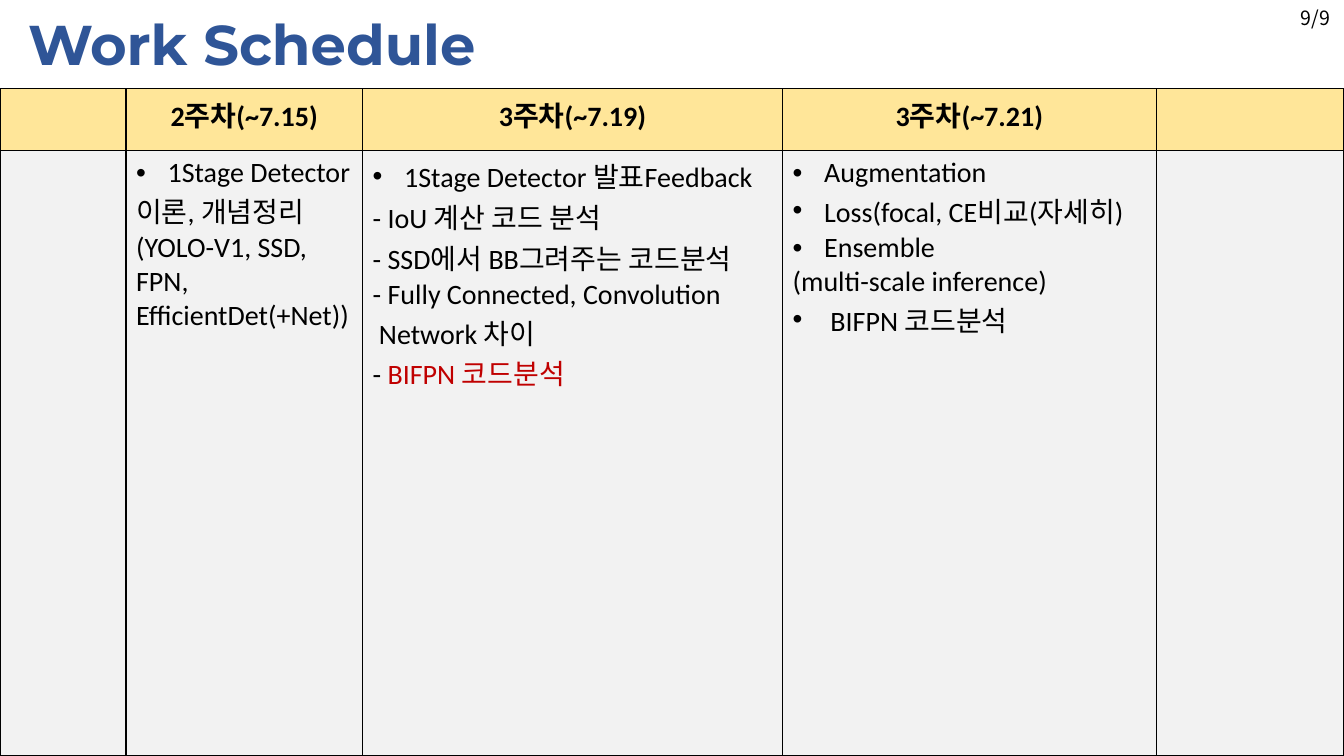
from lxml.etree import SubElement
from pptx import Presentation
from pptx.dml.color import RGBColor
from pptx.enum.text import MSO_ANCHOR, PP_ALIGN
from pptx.oxml import parse_xml
from pptx.oxml.ns import nsdecls, qn
from pptx.util import Pt

COLORS = {
    "title": "2F5597",
    "text": "000000",
    "alert": "C00000",
    "border": "000000",
    "header": "FFE699",
    "body": "F2F2F2",
}
HEADERS = ["", "2주차(~7.15)", "3주차(~7.19)", "3주차(~7.21)", ""]
COLUMN_WIDTHS = [90, 169, 300, 267, 134]
ROW_HEIGHTS = [44, 432]

# Each line is (bullet indent, [(text, colour), ...]); indent 0 means no bullet.
TASKS = [
    [],
    [
        (22.5, [("1Stage Detector", "text")]),
        (0, [("이론, 개념정리", "text")]),
        (0, [("(YOLO-V1, SSD,", "text")]),
        (0, [("FPN,", "text")]),
        (0, [("EfficientDet(+Net))", "text")]),
    ],
    [
        (22.5, [("1Stage Detector 발표Feedback", "text")]),
        (0, [("- IoU 계산 코드 분석", "text")]),
        (0, [("- SSD에서 BB그려주는 코드분석", "text")]),
        (0, [("- Fully Connected, Convolution", "text")]),
        (0, [(" Network 차이", "text")]),
        (0, [("- ", "text"), ("BIFPN 코드분석", "alert")]),
    ],
    [
        (22.5, [("Augmentation", "text")]),
        (22.5, [("Loss(focal, CE비교(자세히)", "text")]),
        (22.5, [("Ensemble", "text")]),
        (0, [("(multi-scale inference)", "text")]),
        (27, [("BIFPN 코드분석", "text")]),
    ],
    [],
]


class Deck:
    def __init__(self):
        self.prs = Presentation()
        self.prs.slide_width, self.prs.slide_height = Pt(960), Pt(540)
        self.s = self.prs.slides.add_slide(self.prs.slide_layouts[6])

    def run(self, p, text, size=20, font="Calibri", color="text", bold=False):
        r = p.add_run()
        r.text = text
        r.font.size, r.font.name, r.font.bold = Pt(size), font, bold
        r.font.color.rgb = RGBColor.from_string(COLORS[color])

    def bullet(self, p, indent):
        pPr = p._p.get_or_add_pPr()
        pPr.set("marL", str(Pt(indent)))
        pPr.set("indent", str(-Pt(indent)))
        SubElement(pPr, qn("a:buFont")).set("typeface", "Arial")
        SubElement(pPr, qn("a:buChar")).set("char", "•")

    def text(self, x, y, w, h, text, align=PP_ALIGN.LEFT,
             anchor=MSO_ANCHOR.TOP, spacing=1.0, **style):
        tf = self.s.shapes.add_textbox(Pt(x), Pt(y), Pt(w), Pt(h)).text_frame
        tf.word_wrap = True
        tf.vertical_anchor = anchor
        p = tf.paragraphs[0]
        p.alignment, p.line_spacing = align, spacing
        self.run(p, text, **style)

    def style_cell(self, cell, fill):
        cell.fill.solid()
        cell.fill.fore_color.rgb = RGBColor.from_string(COLORS[fill])
        tcPr = cell._tc.get_or_add_tcPr()
        for i, side in enumerate("LRTB"):
            tcPr.insert(i, parse_xml(
                f'<a:ln{side} {nsdecls("a")} w="{Pt(1)}"><a:solidFill>'
                f'<a:srgbClr val="{COLORS["border"]}"/></a:solidFill></a:ln{side}>'))

    def schedule(self, x, y):
        table = self.s.shapes.add_table(
            len(ROW_HEIGHTS), len(COLUMN_WIDTHS), Pt(x), Pt(y),
            Pt(sum(COLUMN_WIDTHS)), Pt(sum(ROW_HEIGHTS))).table
        for row, height in zip(table.rows, ROW_HEIGHTS):
            row.height = Pt(height)
        for i, width in enumerate(COLUMN_WIDTHS):
            table.columns[i].width = Pt(width)
            head, body = table.cell(0, i), table.cell(1, i)
            self.style_cell(head, "header")
            self.style_cell(body, "body")
            if HEADERS[i]:
                p = head.text_frame.paragraphs[0]
                p.alignment = PP_ALIGN.CENTER
                self.run(p, HEADERS[i], bold=True)
            self.tasks(body.text_frame, TASKS[i])

    def tasks(self, tf, lines):
        for i, (indent, runs) in enumerate(lines):
            p = tf.add_paragraph() if i else tf.paragraphs[0]
            if indent:
                self.bullet(p, indent)
            for text, color in runs:
                self.run(p, text, color=color)


def main():
    deck = Deck()
    deck.text(13, 3.6, 960, 55.4, "Work Schedule",
              size=40, font="Montserrat", color="title", bold=True)
    deck.schedule(0, 63.4)
    deck.text(919.5, 0, 40.5, 25, "9/9", align=PP_ALIGN.CENTER,
              anchor=MSO_ANCHOR.BOTTOM, spacing=0.9,
              size=14, font="Noto Sans CJK KR")
    deck.prs.save("out.pptx")


if __name__ == "__main__":
    main()
